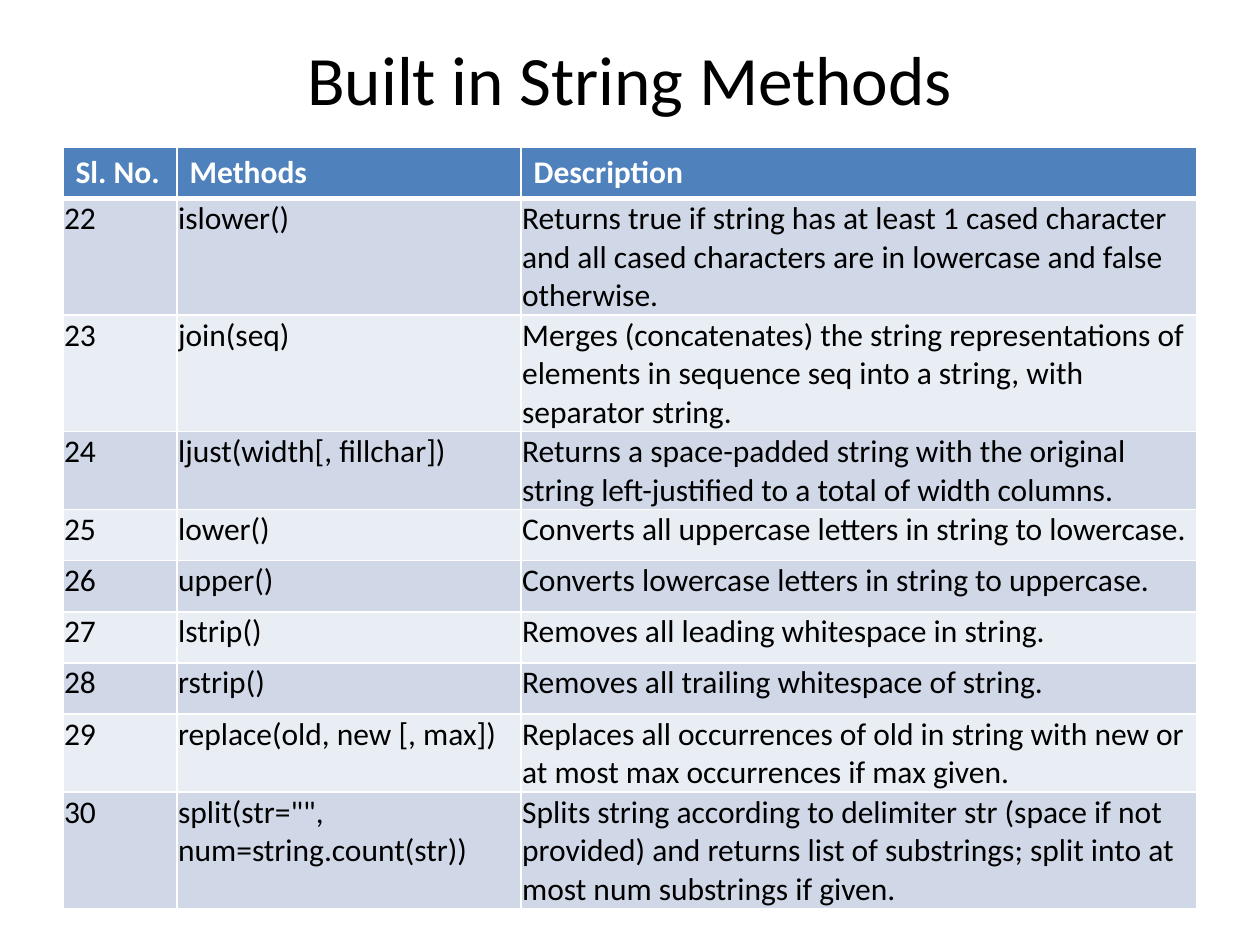
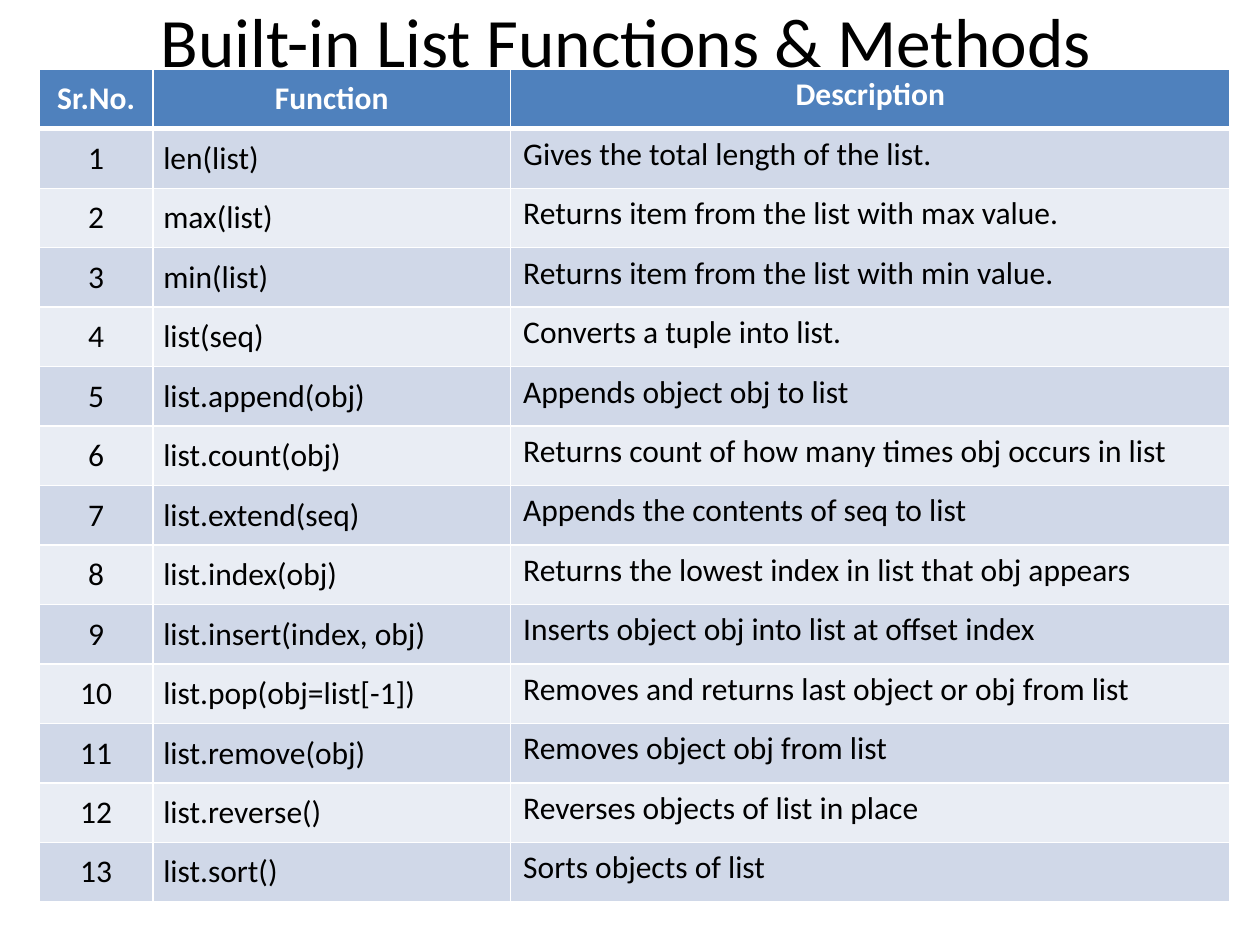
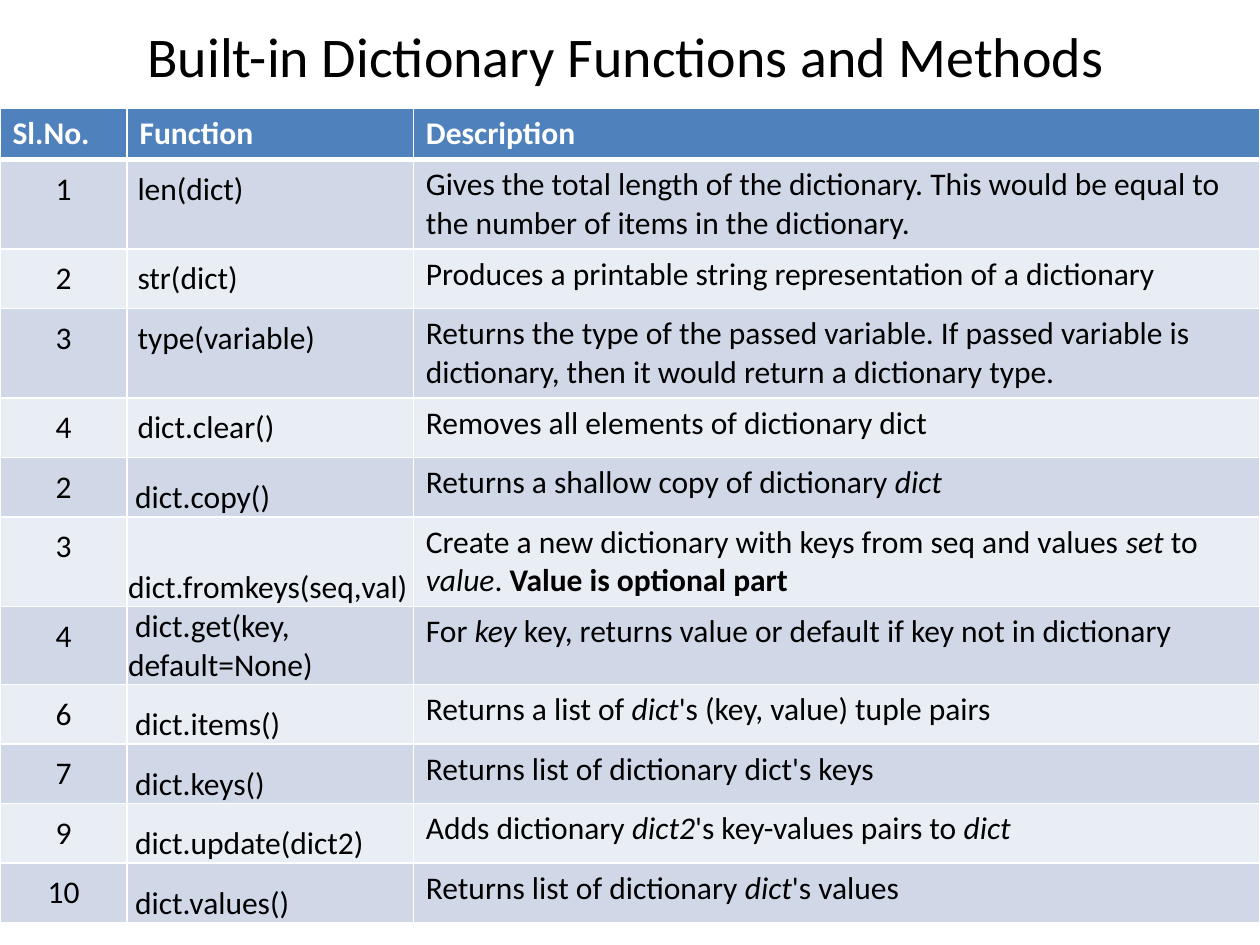
"""Build three reference slides listing Python string, list and dictionary methods."""
import dataclasses

import pptx
import pptx.dml.color
import pptx.enum.text
import pptx.oxml
import pptx.oxml.ns
import pptx.util

Pt = pptx.util.Pt
Align = pptx.enum.text.PP_ALIGN
Anchor = pptx.enum.text.MSO_ANCHOR


@dataclasses.dataclass(frozen=True)
class Theme:
    font: str = "Calibri"
    ink: str = "000000"
    white: str = "FFFFFF"
    header: str = "4F81BD"
    bands: tuple = ("D0D8E8", "E9EDF4")
    table_size: float = 18
    title_size: float = 39.6
    small_title_size: float = 32
    thin_border: float = 1
    thick_border: float = 3


theme = Theme()
NORMAL = (7.2, 3.6, 7.2, 3.6)
EVEN = (6, 6, 6, 6)
TIGHT = (0.6, 0.6, 0.6, 0)
LINE, SPACED_LINE = 29.2, 34

string_rows = [
    ("22", "islower()", "Returns true if string has at least 1 cased character and all cased characters are in lowercase and false otherwise."),
    ("23", "join(seq)", "Merges (concatenates) the string representations of elements in sequence seq into a string, with separator string."),
    ("24", "ljust(width[, fillchar])", "Returns a space-padded string with the original string left-justified to a total of width columns."),
    ("25", "lower()", "Converts all uppercase letters in string to lowercase."),
    ("26", "upper()", "Converts lowercase letters in string to uppercase."),
    ("27", "lstrip()", "Removes all leading whitespace in string."),
    ("28", "rstrip()", "Removes all trailing whitespace of string."),
    ("29", "replace(old, new [, max])", "Replaces all occurrences of old in string with new or at most max occurrences if max given."),
    ("30", 'split(str="", num=string.count(str))', "Splits string according to delimiter str (space if not provided) and returns list of substrings; split into at most num substrings if given."),
]

list_rows = [
    ("1", "len(list)", "Gives the total length of the list."),
    ("2", "max(list)", "Returns item from the list with max value."),
    ("3", "min(list)", "Returns item from the list with min value."),
    ("4", "list(seq)", "Converts a tuple into list."),
    ("5", "list.append(obj)", "Appends object obj to list"),
    ("6", "list.count(obj)", "Returns count of how many times obj occurs in list"),
    ("7", "list.extend(seq)", "Appends the contents of seq to list"),
    ("8", "list.index(obj)", "Returns the lowest index in list that obj appears"),
    ("9", "list.insert(index, obj)", "Inserts object obj into list at offset index"),
    ("10", "list.pop(obj=list[-1])", "Removes and returns last object or obj from list"),
    ("11", "list.remove(obj)", "Removes object obj from list"),
    ("12", "list.reverse()", "Reverses objects of list in place"),
    ("13", "list.sort()", "Sorts objects of list"),
]

dictionary_rows = [
    ("1", "len(dict)", "Gives the total length of the dictionary. This would be equal to the number of items in the dictionary."),
    ("2", "str(dict)", "Produces a printable string representation of a dictionary"),
    ("3", "type(variable)", "Returns the type of the passed variable. If passed variable is dictionary, then it would return a dictionary type."),
    ("4", "dict.clear()", "Removes all elements of dictionary dict"),
    ("2", " dict.copy()", "Returns a shallow copy of dictionary |dict"),
    ("3", " dict.fromkeys(seq,val)", "Create a new dictionary with keys from seq and values |set| to |value|. |*Value is optional part"),
    ("4", " dict.get(key, default=None)", "For |key |key, returns value or default if key not in dictionary"),
    ("6", " dict.items()", "Returns a list of |dict|'s (key, value) tuple pairs"),
    ("7", " dict.keys()", "Returns list of dictionary dict's keys"),
    ("9", " dict.update(dict2)", "Adds dictionary |dict2|'s key-values pairs to |dict"),
    ("10", " dict.values()", "Returns list of dictionary |dict|'s values"),
]

pages = [
    dict(title="Built in String Methods", title_box=(36, 21.6, 648, 46), title_size=theme.title_size,
         header=("Sl. No.", "Methods", "Description"), rows=string_rows,
         corner=(36, 84.4), widths=(65.2, 196.6, 386), heights=(LINE, 66.4, 66.4, 44.6, *[LINE] * 4, 44.6, 66.4),
         header_insets=(NORMAL,) * 3, header_align=Align.LEFT,
         insets=(TIGHT,) * 3, number_align=Align.LEFT, tight_names_from=None),
    dict(title="Built-in List Functions & Methods", title_box=(33.8, 0, 648, 46), title_size=theme.title_size,
         header=("Sr.No.", "Function", "Description"), rows=list_rows,
         corner=(22.5, 39.6), widths=(64.8, 204.5, 411.1), heights=(SPACED_LINE,) * 14,
         header_insets=(EVEN, EVEN, NORMAL), header_align=Align.CENTER,
         insets=(EVEN, EVEN, NORMAL), number_align=Align.CENTER, tight_names_from=None),
    dict(title="Built-in Dictionary Functions and Methods", title_box=(33.8, 0, 648, 62.6), title_size=theme.small_title_size,
         header=("Sl.No.", "Function", "Description"), rows=dictionary_rows,
         corner=(0, 62), widths=(72.6, 163.6, 483.8),
         heights=(LINE, 51.1, SPACED_LINE, 51.1, SPACED_LINE, SPACED_LINE, 51.1, 44.6, *[SPACED_LINE] * 4),
         header_insets=(NORMAL,) * 3, header_align=Align.LEFT,
         insets=(EVEN, EVEN, NORMAL), number_align=Align.CENTER, tight_names_from=5),
]


def style_span(span, size, color, bold=False, italic=False):
    """Apply the theme font with the given size, colour and weight."""
    span.font.name = theme.font
    span.font.size = Pt(size)
    span.font.color.rgb = pptx.dml.color.RGBColor.from_string(color)
    span.font.bold = bold
    span.font.italic = italic


def style_cell(cell, fill, insets, bottom_border):
    """Give a cell its borders, fill and margins."""
    properties = cell._tc.get_or_add_tcPr()
    for side in ("L", "R", "T", "B"):
        width = bottom_border if side == "B" else theme.thin_border
        properties.append(pptx.oxml.parse_xml(
            f'<a:ln{side} {pptx.oxml.ns.nsdecls("a")} w="{Pt(width)}"><a:solidFill>'
            f'<a:srgbClr val="{theme.white}"/></a:solidFill></a:ln{side}>'))
    cell.fill.solid()
    cell.fill.fore_color.rgb = pptx.dml.color.RGBColor.from_string(fill)
    cell.margin_left, cell.margin_top, cell.margin_right, cell.margin_bottom = map(Pt, insets)


deck = pptx.Presentation()
deck.slide_width, deck.slide_height = Pt(720), Pt(540)

for page in pages:
    slide = deck.slides.add_slide(deck.slide_layouts[5])
    title = slide.shapes.title
    title.left, title.top, title.width, title.height = map(Pt, page["title_box"])
    title.text_frame.text = page["title"]
    title.text_frame.auto_size = pptx.enum.text.MSO_AUTO_SIZE.NONE
    title.text_frame.vertical_anchor = Anchor.MIDDLE
    title_para = title.text_frame.paragraphs[0]
    title_para.alignment = Align.CENTER
    style_span(title_para.runs[0], page["title_size"], theme.ink)

    records = [page["header"], *page["rows"]]
    left, top = page["corner"]
    table = slide.shapes.add_table(
        len(records), len(page["widths"]), Pt(left), Pt(top),
        Pt(sum(page["widths"])), Pt(sum(page["heights"]))).table
    for column, width in zip(table.columns, page["widths"]):
        column.width = Pt(width)
    for row, height in zip(table.rows, page["heights"]):
        row.height = Pt(height)

    for row_index, record in enumerate(records):
        is_header = row_index == 0
        fill = theme.header if is_header else theme.bands[(row_index - 1) % 2]
        color = theme.white if is_header else theme.ink
        border = theme.thick_border if is_header else theme.thin_border
        for column_index, text in enumerate(record):
            cell = table.cell(row_index, column_index)
            insets = page["header_insets" if is_header else "insets"][column_index]
            first_tight = page["tight_names_from"]
            if first_tight and row_index >= first_tight and column_index == 1:
                insets = TIGHT
                cell.vertical_anchor = Anchor.BOTTOM
            style_cell(cell, fill, insets, border)
            para = cell.text_frame.paragraphs[0]
            if is_header:
                para.alignment = page["header_align"]
            else:
                para.alignment = page["number_align"] if column_index == 0 else Align.LEFT
            for part_index, part in enumerate(text.split("|")):
                bold = part.startswith("*")
                span = para.add_run()
                span.text = part.removeprefix("*")
                style_span(span, theme.table_size, color, is_header or bold, part_index % 2 == 1 and not bold)

deck.save("out.pptx")
